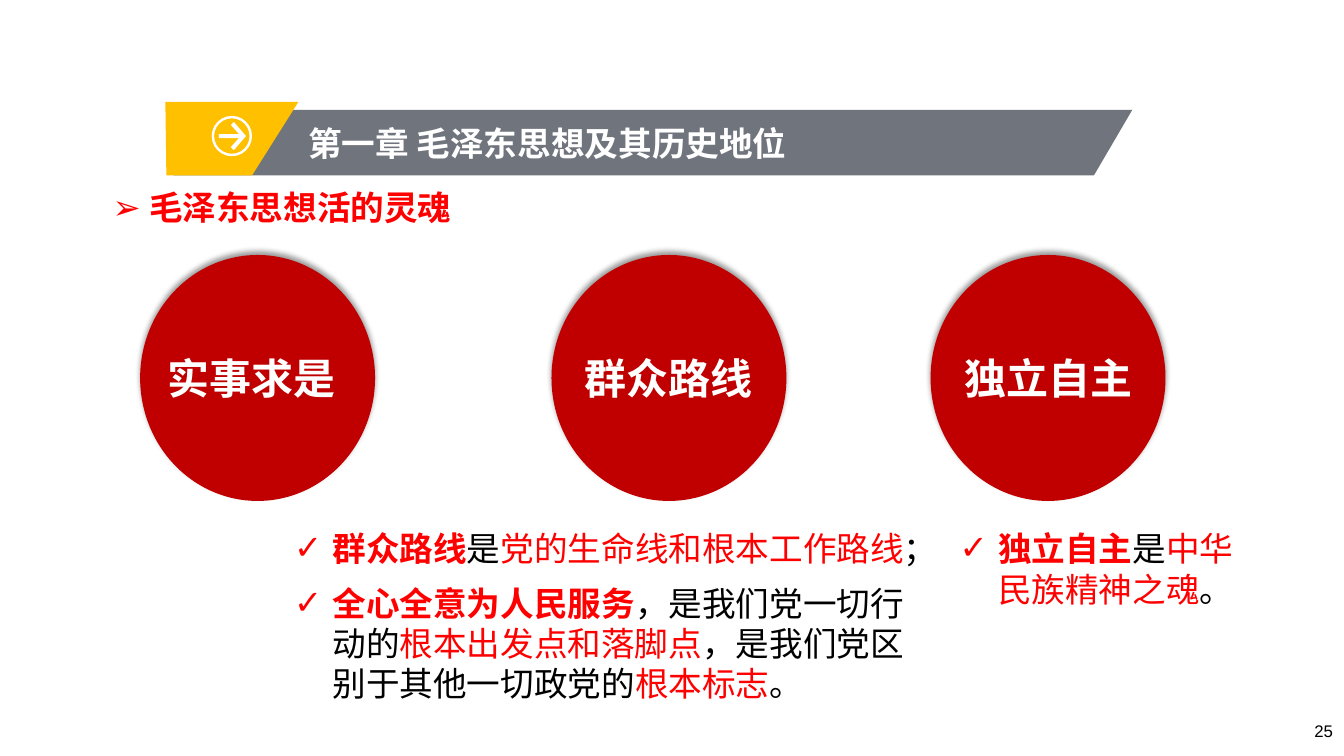
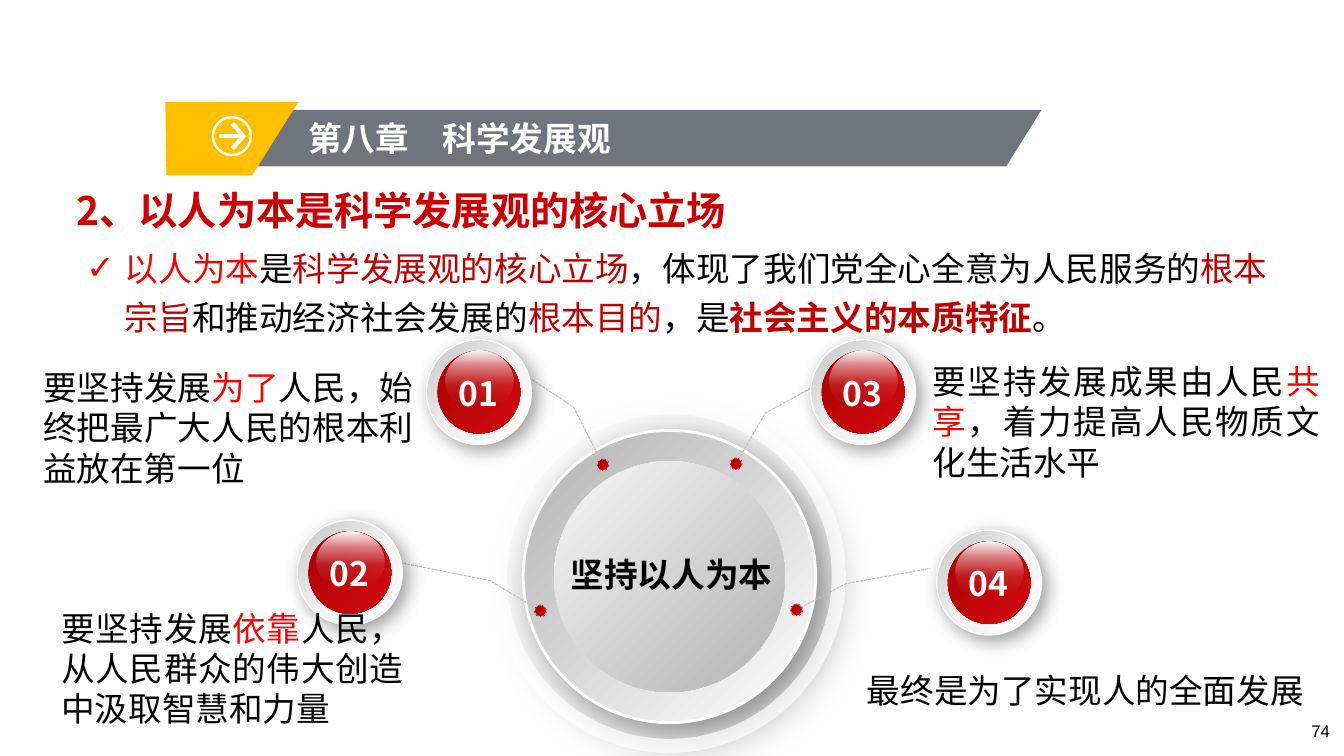
"""Build two chapter slides: three guiding principles and a people-first diagram."""
from dataclasses import dataclass
from typing import NamedTuple, Optional

import pptx
import pptx.dml.color
import pptx.enum.dml
import pptx.enum.shapes
import pptx.enum.text
import pptx.oxml.ns
import pptx.util
from lxml import etree

Inches = pptx.util.Inches
Pt = pptx.util.Pt
qn = pptx.oxml.ns.qn
Shapes = pptx.enum.shapes.MSO_SHAPE
Align = pptx.enum.text.PP_ALIGN

COLORS = {
    "white": "FFFFFF", "black": "000000", "red": "FF0000", "deep": "C00000",
    "heading": "CC0000", "bar": "70757D", "gold": "FFC000", "leader": "BFBFBF",
    "silver": "B2B2B2", "pale": "F7F7F7", "rim": "C4C4C4", "mist": "F2F2F2",
    "ruby_dark": "A80000", "ruby": "D30A10",
}
CJK_FONT = "Noto Sans CJK SC"
LATIN_FONT = "Arial"
LINE_RATIO = 1.2
HANGING = 0.38


class Stop(NamedTuple):
    position: int
    color: str
    opacity: int = 100


class Shadow(NamedTuple):
    opacity: int
    blur: int
    distance: int
    angle: int


class Outline(NamedTuple):
    color: str
    width: float
    dashed: bool = False


class Span(NamedTuple):
    text: str
    color: str = "black"
    bold: bool = False


class Box(NamedTuple):
    left: float
    top: float
    width: float
    height: float


@dataclass
class Passage:
    spans: list[Span]
    size: int = 24
    align: Align = Align.LEFT
    spacing: float = 1.0
    before: int = 0
    bullet: str = ""
    hanging: float = HANGING
    font: str = CJK_FONT


@dataclass
class Principle:
    name: str
    left: float
    label_shift: float = 0.0


@dataclass
class Aspect:
    number: str
    center: tuple[float, float]
    leader: list[tuple[float, float]]
    box: Box
    spans: list[Span]
    spacing: float = 1.0


RUBY = [Stop(0, "ruby_dark"), Stop(100, "ruby")]
DISC = [Stop(0, "silver"), Stop(100, "white")]
DISC_CORE = [Stop(0, "pale"), Stop(100, "silver")]
BADGE_RIM = [Stop(0, "rim"), Stop(53, "mist"), Stop(100, "white")]
GLARE = [Stop(1, "white", 96), Stop(25, "white", 50), Stop(56, "white", 10), Stop(86, "white", 0)]
LEADER_LINE = Outline("leader", 0.75, True)

ARROW = [(2.44, 1.35), (2.32, 1.49), (2.29, 1.46), (2.37, 1.37), (2.17, 1.37),
         (2.17, 1.33), (2.37, 1.33), (2.29, 1.24), (2.32, 1.21)]

PRINCIPLES = [Principle("实事求是", 1.39, -0.06), Principle("群众路线", 5.47), Principle("独立自主", 9.23)]

MASS_LINE = [
    Passage([Span("群众路线", "red", True), Span("是"), Span("党的生命线和根本工作路线", "red"),
             Span("；")], bullet="✓"),
    Passage([Span("全心全意为人民服务", "red", True), Span("，是我们党一切行动的"),
             Span("根本出发点和落脚点", "red"), Span("，是我们党区别于其他一切政党的"),
             Span("根本标志", "red"), Span("。")], before=10, bullet="✓"),
]
INDEPENDENCE = [Passage([Span("独立自主", "red", True), Span("是"), Span("中华民族精神之魂", "red"),
                         Span("。")], bullet="✓")]
CORE_POSITION = [Passage([
    Span("以人为本", "red"), Span("是"), Span("科学发展观的核心立场", "deep"),
    Span("，体现了我们党全心全意为人民服务的"), Span("根本宗旨", "deep"),
    Span("和推动经济社会发展的"), Span("根本目的", "deep"), Span("，是"),
    Span("社会主义的本质特征", "deep", True), Span("。")], spacing=1.2, bullet="✓")]

ASPECTS = [
    Aspect("01", (4.75, 3.89), [(5.98, 4.61), (5.69, 4.04), (5.21, 3.72)], Box(0.33, 3.59, 3.87, 1.31),
           [Span("要坚持发展"), Span("为了", "red"), Span("人民，始终把最广大人民的根本利益放在第一位")]),
    Aspect("02", (3.47, 5.68), [(5.36, 6.06), (4.86, 5.76), (4.01, 5.59)], Box(0.51, 5.98, 3.59, 1.31),
           [Span("要坚持发展"), Span("依靠", "red"), Span("人民，从人民群众的伟大创造中汲取智慧和力量")]),
    Aspect("03", (8.56, 3.89), [(7.3, 4.6), (7.59, 4.1), (8.08, 3.83)], Box(9.15, 3.53, 4.04, 1.31),
           [Span("要坚持发展成果由人民"), Span("共享", "red"), Span("，着力提高人民物质文化生活水平")]),
    Aspect("04", (9.81, 5.78), [(7.9, 6.05), (8.39, 5.79), (9.22, 5.64)], Box(8.5, 6.4, 4.7, 0.61),
           [Span("最终是为了实现人的全面发展")], 1.5),
]


def rgb(name: str) -> pptx.dml.color.RGBColor:
    return pptx.dml.color.RGBColor.from_string(COLORS[name])


def add_color(parent, name: str, opacity: int) -> None:
    color = etree.SubElement(parent, qn("a:srgbClr"), val=COLORS[name])
    if opacity < 100:
        etree.SubElement(color, qn("a:alpha"), val=str(opacity * 1000))


def style_shape(shape, fill: Optional[str] = None, outline: Optional[Outline] = None,
                shadow: Optional[Shadow] = None) -> None:
    if fill:
        shape.fill.solid()
        shape.fill.fore_color.rgb = rgb(fill)
    else:
        shape.fill.background()
    if outline:
        shape.line.color.rgb = rgb(outline.color)
        shape.line.width = Pt(outline.width)
        if outline.dashed:
            shape.line.dash_style = pptx.enum.dml.MSO_LINE.SQUARE_DOT
    else:
        shape.line.fill.background()
    shape.shadow.inherit = False
    if shadow:
        effects = shape.element.spPr.find(qn("a:effectLst"))
        outer = etree.SubElement(
            effects, qn("a:outerShdw"), blurRad=str(Pt(shadow.blur)), dist=str(Pt(shadow.distance)),
            dir=str(shadow.angle * 60000), algn="ctr", rotWithShape="0")
        add_color(outer, "black", shadow.opacity)


def apply_gradient(shape, stops: list[Stop], angle: int) -> None:
    shape.fill.gradient()
    gradient = shape.element.spPr.find(qn("a:gradFill"))
    stop_list = gradient.find(qn("a:gsLst"))
    for old_stop in list(stop_list):
        stop_list.remove(old_stop)
    for stop in stops:
        node = etree.SubElement(stop_list, qn("a:gs"), pos=str(stop.position * 1000))
        add_color(node, stop.color, stop.opacity)
    gradient.find(qn("a:lin")).set("ang", str(angle * 60000))


def add_preset(slide, kind: Shapes, box: Box, **style):
    shape = slide.shapes.add_shape(kind, *map(Inches, box))
    style_shape(shape, **style)
    return shape


def add_orb(slide, center: tuple[float, float], diameter: float, stops: list[Stop], **style) -> None:
    x, y = center
    box = Box(x - diameter / 2, y - diameter / 2, diameter, diameter)
    apply_gradient(add_preset(slide, Shapes.OVAL, box, **style), stops, 45)


def add_outline(slide, points: list[tuple[float, float]], close: bool = True, **style) -> None:
    vertices = [(Inches(x), Inches(y)) for x, y in points]
    builder = slide.shapes.build_freeform(*vertices[0])
    builder.add_line_segments(vertices[1:], close=close)
    style_shape(builder.convert_to_shape(), **style)


def add_text(slide, box: Box, passages: list[Passage]) -> None:
    frame = slide.shapes.add_textbox(*map(Inches, box)).text_frame
    frame.word_wrap = True
    for index, passage in enumerate(passages):
        paragraph = frame.add_paragraph() if index else frame.paragraphs[0]
        if passage.bullet:
            properties = paragraph._p.get_or_add_pPr()
            properties.set("marL", str(Inches(passage.hanging)))
            properties.set("indent", str(-Inches(passage.hanging)))
            etree.SubElement(properties, qn("a:buFont"), typeface=LATIN_FONT)
            etree.SubElement(properties, qn("a:buChar"), char=passage.bullet)
        layout = {"alignment": passage.align, "space_before": Pt(passage.before),
                  "line_spacing": Pt(round(passage.size * LINE_RATIO * passage.spacing, 1))}
        for name, value in layout.items():
            setattr(paragraph, name, value)
        for span in passage.spans:
            run = paragraph.add_run()
            run.text = span.text
            run.font.color.rgb = rgb(span.color)
            for name, value in {"size": Pt(passage.size), "bold": span.bold, "name": passage.font}.items():
                setattr(run.font, name, value)
            etree.SubElement(run._r.get_or_add_rPr(), qn("a:ea"), typeface=passage.font)


def add_frame(slide, title: str, title_top: float, bar_right: float, bar_bottom: float,
              bar_slant: float, number: str, number_left: float) -> None:
    add_outline(slide, [(1.72, 1.09), (bar_right, 1.09), (bar_right - bar_slant, bar_bottom),
                        (1.72, bar_bottom)], fill="bar")
    add_outline(slide, [(1.64, 1.01), (2.96, 1.01), (2.5, 1.74), (1.65, 1.74)], fill="gold")
    add_text(slide, Box(2.96, title_top, 6.5, 0.5), [Passage([Span(title, "white", True)])])
    ring = add_preset(slide, Shapes.DONUT, Box(2.1, 1.15, 0.4, 0.4), fill="white")
    ring.adjustments[0] = 0.06
    add_outline(slide, ARROW, fill="white")
    add_text(slide, Box(number_left, 7.1, 0.51, 0.4),
             [Passage([Span(number)], size=12, align=Align.RIGHT, font=LATIN_FONT)])


def build_principles(slide) -> None:
    add_frame(slide, "第一章 毛泽东思想及其历史地位", 1.17, 11.23, 1.74, 0.38, "25", 12.81)
    for principle in PRINCIPLES:
        add_preset(slide, Shapes.OVAL, Box(principle.left, 2.53, 2.33, 2.44), fill="deep",
                   shadow=Shadow(40, 4, 3, 270))
        add_text(slide, Box(principle.left + principle.label_shift, 3.45, 2.33, 0.61),
                 [Passage([Span(principle.name, "white", True)], size=30, align=Align.CENTER)])
    add_text(slide, Box(1.02, 1.81, 4.5, 0.5),
             [Passage([Span("毛泽东思想活的灵魂", "red", True)], bullet="➢", hanging=0.36)])
    add_text(slide, Box(2.82, 5.19, 6.3, 1.86), MASS_LINE)
    add_text(slide, Box(9.42, 5.19, 3.12, 0.91), INDEPENDENCE)


def add_badge(slide, aspect: Aspect) -> None:
    x, y = aspect.center
    add_orb(slide, aspect.center, 1.04, BADGE_RIM, outline=Outline("white", 1),
            shadow=Shadow(40, 14, 5, 45))
    add_orb(slide, aspect.center, 0.82, RUBY)
    glare = add_preset(slide, Shapes.OVAL, Box(x - 0.33, y - 0.41, 0.67, 0.6))
    apply_gradient(glare, GLARE, 90)
    add_text(slide, Box(x - 0.3, y - 0.24, 0.67, 0.5), [Passage([Span(aspect.number, "white", True)])])


def build_people_first(slide) -> None:
    add_frame(slide, "第八章　科学发展观", 1.12, 10.33, 1.65, 0.35, "74", 12.78)
    add_text(slide, Box(0.66, 1.57, 10.49, 0.8),
             [Passage([Span("2、以人为本是科学发展观的核心立场", "heading", True)], size=28, spacing=1.5)])
    add_text(slide, Box(0.76, 2.33, 11.97, 1.01), CORE_POSITION)

    hub = (6.64, 5.72)
    add_orb(slide, hub, 2.9, DISC, outline=Outline("white", 2), shadow=Shadow(50, 33, 11, 45))
    halo = add_preset(slide, Shapes.DONUT, Box(4.89, 3.97, 3.5, 3.5))
    halo.adjustments[0] = 0.04
    apply_gradient(halo, [Stop(0, "white", 69), Stop(100, "white", 69)], 0)
    add_orb(slide, hub, 2.29, DISC_CORE)
    for aspect in ASPECTS:
        add_outline(slide, aspect.leader, close=False, outline=LEADER_LINE)
        add_orb(slide, aspect.leader[0], 0.12, RUBY, outline=LEADER_LINE)
    for aspect in ASPECTS:
        add_badge(slide, aspect)
        add_text(slide, aspect.box, [Passage(aspect.spans, align=Align.JUSTIFY, spacing=aspect.spacing)])
    add_text(slide, Box(5.41, 5.45, 2.5, 0.5),
             [Passage([Span("坚持以人为本", bold=True)], align=Align.CENTER)])


def main() -> None:
    presentation = pptx.Presentation()
    presentation.slide_width = Inches(13.33)
    presentation.slide_height = Inches(7.5)
    for build in (build_principles, build_people_first):
        build(presentation.slides.add_slide(presentation.slide_layouts[6]))
    presentation.save("out.pptx")


if __name__ == "__main__":
    main()
